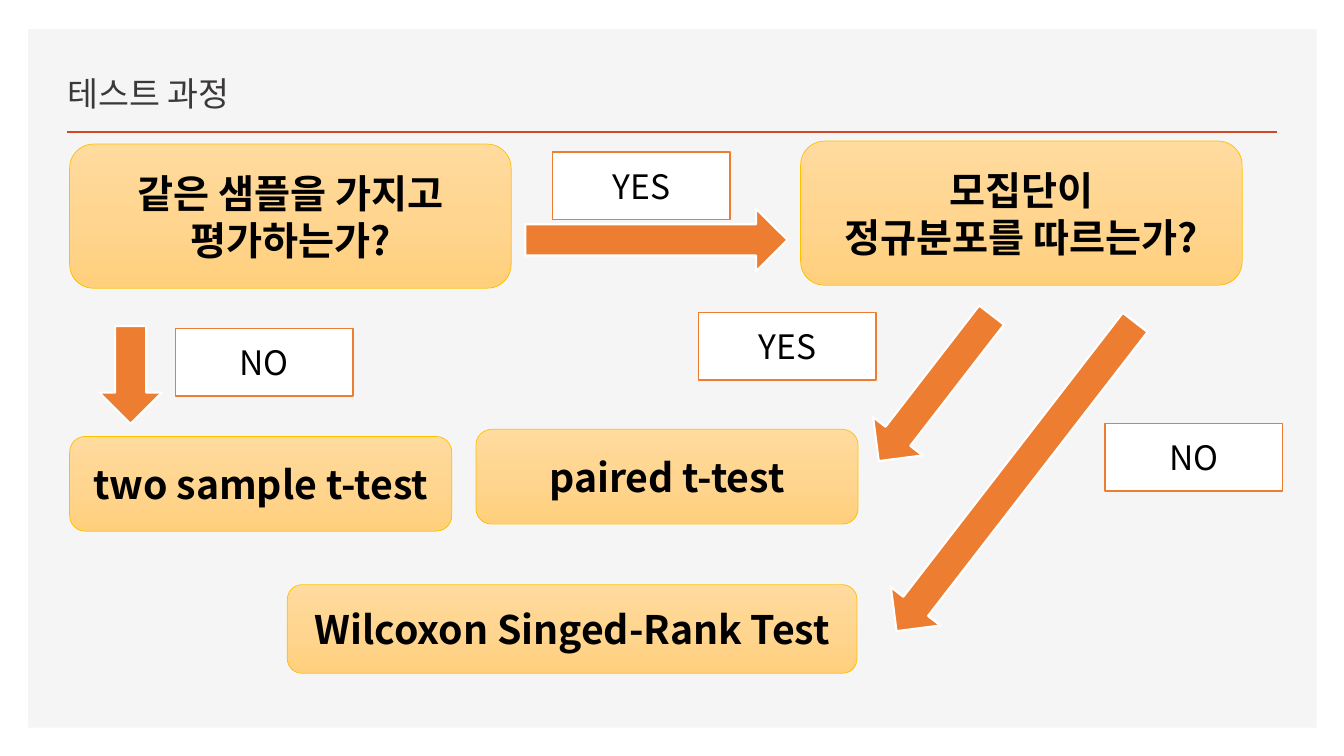
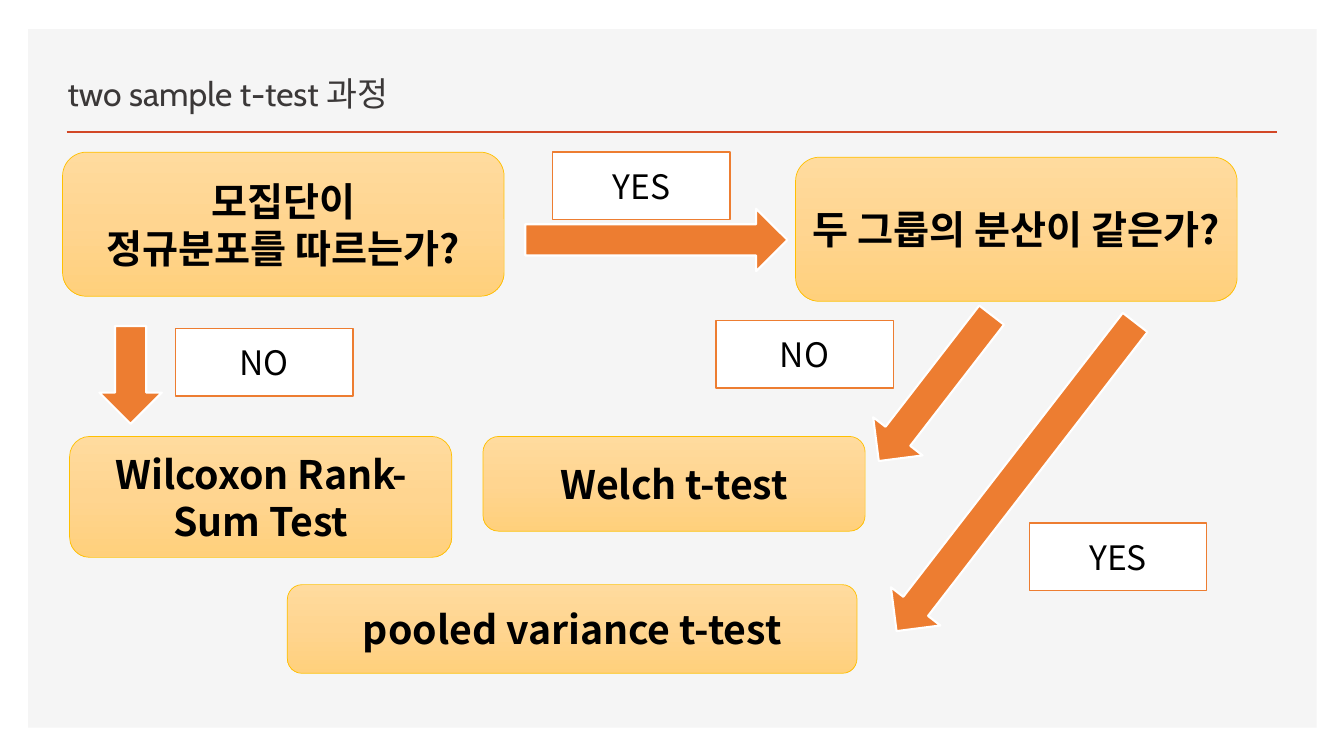
import copy
import dataclasses

import lxml.etree
import pptx
import pptx.dml.color
import pptx.enum.shapes
import pptx.enum.text
import pptx.oxml.ns
import pptx.presentation
import pptx.shapes.autoshape
import pptx.slide
import pptx.text.text
import pptx.util

Inches = pptx.util.Inches
Pt = pptx.util.Pt
qn = pptx.oxml.ns.qn
SHAPE = pptx.enum.shapes.MSO_SHAPE
ALIGN = pptx.enum.text.PP_ALIGN
ANCHOR = pptx.enum.text.MSO_ANCHOR

TITLE_FONT = "Cabin"
BODY_FONT = "Noto Sans CJK KR"
WHITE = "FFFFFF"
BLACK = "000000"
PANEL = "F5F5F5"
RULE = "D24726"
TITLE_COLOR = "3B3838"
ORANGE = "ED7D31"
STEP_BORDER = "FFC000"
STEP_GRADIENT = ((0, "FFDB9E"), (0.5, "FFD590"), (1, "FFD07C"))

LABEL_SIZE = (1.76, 0.67)
ARROW_HEIGHT = 0.62
QUESTION_SIZE = (4.38, 1.43)
TEST_SIZE = (3.79, 0.94)
FINAL_TEST_SIZE = (5.65, 0.88)


@dataclasses.dataclass(frozen=True)
class Step:
    text: str
    left: float
    top: float
    size: tuple[float, float] = TEST_SIZE


@dataclasses.dataclass(frozen=True)
class Answer:
    text: str
    left: float
    top: float


@dataclasses.dataclass(frozen=True)
class Arrow:
    left: float
    top: float
    length: float
    rotation: float = 0


@dataclasses.dataclass(frozen=True)
class Flow:
    title: str
    steps: tuple[Step, ...]
    answers: tuple[Answer, ...]


ARROWS = (
    Arrow(5.21, 2.07, 2.6),
    Arrow(8.36, 3.54, 1.83, 127.7),
    Arrow(8.14, 4.42, 3.87, 127.7),
    Arrow(0.81, 3.41, 0.97, 90),
)

FLOWS = (
    Flow(
        "테스트 과정",
        (
            Step("같은 샘플을 가지고 평가하는가?", 0.69, 1.43, QUESTION_SIZE),
            Step("모집단이\n정규분포를 따르는가?", 7.94, 1.4, QUESTION_SIZE),
            Step("two sample t-test", 0.69, 4.33),
            Step("paired t-test", 4.72, 4.26),
            Step("Wilcoxon Singed-Rank Test", 2.85, 5.8, FINAL_TEST_SIZE),
        ),
        (
            Answer("YES", 5.48, 1.51),
            Answer("NO", 1.74, 3.26),
            Answer("YES", 6.93, 3.1),
            Answer("NO", 10.96, 4.2),
        ),
    ),
    Flow(
        "two sample t-test 과정",
        (
            Step("모집단이\n정규분포를 따르는가?", 0.62, 1.51, QUESTION_SIZE),
            Step("두 그룹의 분산이 같은가?", 7.89, 1.56, QUESTION_SIZE),
            Step("Wilcoxon Rank-Sum Test", 0.69, 4.33, (3.79, 1.2)),
            Step("Welch t-test", 4.79, 4.33),
            Step("pooled variance t-test", 2.85, 5.8, FINAL_TEST_SIZE),
        ),
        (
            Answer("YES", 5.48, 1.51),
            Answer("NO", 1.74, 3.26),
            Answer("NO", 7.1, 3.18),
            Answer("YES", 10.21, 5.19),
        ),
    ),
)


def rgb(color: str) -> pptx.dml.color.RGBColor:
    return pptx.dml.color.RGBColor.from_string(color)


def write_text(
    frame: pptx.text.text.TextFrame,
    text: str,
    *,
    size: float,
    font: str = BODY_FONT,
    color: str = BLACK,
    bold: bool = False,
    align: ALIGN = ALIGN.CENTER,
    anchor: ANCHOR = ANCHOR.MIDDLE,
    line_spacing: float = 1,
) -> None:
    """Fill the frame with one paragraph for each line of text."""
    frame.text = text
    frame.word_wrap = True
    frame.auto_size = pptx.enum.text.MSO_AUTO_SIZE.NONE
    frame.vertical_anchor = anchor
    for paragraph in frame.paragraphs:
        paragraph.alignment = align
        paragraph.line_spacing = line_spacing
        for run in paragraph.runs:
            run.font.name = font
            run.font.size = Pt(size)
            run.font.bold = bold
            run.font.color.rgb = rgb(color)
            east_asian = lxml.etree.SubElement(run.font._element, qn("a:ea"))
            east_asian.set("typeface", BODY_FONT)


def add_box(
    slide: pptx.slide.Slide,
    kind: SHAPE,
    left: float,
    top: float,
    width: float,
    height: float,
    *,
    fill: str | None = None,
    line: str | None = None,
    line_width: float = 1,
) -> pptx.shapes.autoshape.Shape:
    box = slide.shapes.add_shape(
        kind, Inches(left), Inches(top), Inches(width), Inches(height)
    )
    box.shadow.inherit = False
    if fill:
        box.fill.solid()
        box.fill.fore_color.rgb = rgb(fill)
    if line:
        box.line.color.rgb = rgb(line)
        box.line.width = Pt(line_width)
    else:
        box.line.fill.background()
    return box


def fill_step_gradient(box: pptx.shapes.autoshape.Shape) -> None:
    box.fill.gradient()
    box.fill.gradient_angle = 270
    stop_list = box.element.find(".//" + qn("a:gsLst"))
    stop_list.append(copy.deepcopy(stop_list[0]))
    for stop, (position, color) in zip(box.fill.gradient_stops, STEP_GRADIENT):
        stop.position = position
        stop.color.rgb = rgb(color)


def add_step(slide: pptx.slide.Slide, step: Step) -> None:
    box = add_box(
        slide, SHAPE.FLOWCHART_ALTERNATE_PROCESS, step.left, step.top, *step.size,
        line=STEP_BORDER, line_width=0.5,
    )
    fill_step_gradient(box)
    write_text(box.text_frame, step.text, size=28, bold=True)


def add_answer(slide: pptx.slide.Slide, answer: Answer) -> None:
    label = add_box(
        slide, SHAPE.RECTANGLE, answer.left, answer.top, *LABEL_SIZE,
        fill=WHITE, line=ORANGE,
    )
    write_text(label.text_frame, answer.text, size=24)


def add_arrow(slide: pptx.slide.Slide, arrow: Arrow) -> None:
    block = add_box(
        slide, SHAPE.RIGHT_ARROW, arrow.left, arrow.top, arrow.length, ARROW_HEIGHT,
        fill=ORANGE, line=WHITE, line_width=1.5,
    )
    block.rotation = arrow.rotation


def prepare_layout(layout: pptx.slide.SlideLayout) -> None:
    """Keep only the title placeholder and place it above the rule."""
    for placeholder in list(layout.placeholders):
        if placeholder.placeholder_format.idx != 0:
            placeholder.element.getparent().remove(placeholder.element)
            continue
        placeholder.left, placeholder.top = Inches(0.57), Inches(0.48)
        placeholder.width, placeholder.height = Inches(8.93), Inches(0.7)


def move_frame_to_layout(slide: pptx.slide.Slide) -> None:
    """Draw the panel and rule, then hand them to the layout all slides share."""
    panel = add_box(slide, SHAPE.RECTANGLE, 0.28, 0.29, 12.78, 6.93, fill=PANEL)
    rule = slide.shapes.add_connector(
        pptx.enum.shapes.MSO_CONNECTOR.STRAIGHT,
        Inches(0.66), Inches(1.31), Inches(12.67), Inches(1.31),
    )
    rule.line.color.rgb = rgb(RULE)
    rule.line.width = Pt(2)
    lxml.etree.SubElement(rule.element.spPr, qn("a:effectLst"))
    layout_tree = slide.slide_layout.shapes.element
    first_shape = 2
    for offset, part in enumerate((panel, rule)):
        layout_tree.insert(first_shape + offset, part.element)


def add_flow(
    deck: pptx.presentation.Presentation, layout: pptx.slide.SlideLayout, flow: Flow
) -> pptx.slide.Slide:
    slide = deck.slides.add_slide(layout)
    write_text(
        slide.shapes.title.text_frame, flow.title, size=24, font=TITLE_FONT,
        color=TITLE_COLOR, align=ALIGN.LEFT, anchor=ANCHOR.BOTTOM, line_spacing=0.9,
    )
    for arrow in ARROWS:
        add_arrow(slide, arrow)
    for step in flow.steps:
        add_step(slide, step)
    for answer in flow.answers:
        add_answer(slide, answer)
    return slide


def main() -> None:
    deck = pptx.Presentation()
    deck.slide_width, deck.slide_height = Inches(13.33), Inches(7.5)
    layout = deck.slide_layouts.get_by_name("Title Only")
    prepare_layout(layout)
    slides = [add_flow(deck, layout, flow) for flow in FLOWS]
    move_frame_to_layout(slides[0])
    deck.save("out.pptx")


if __name__ == "__main__":
    main()
